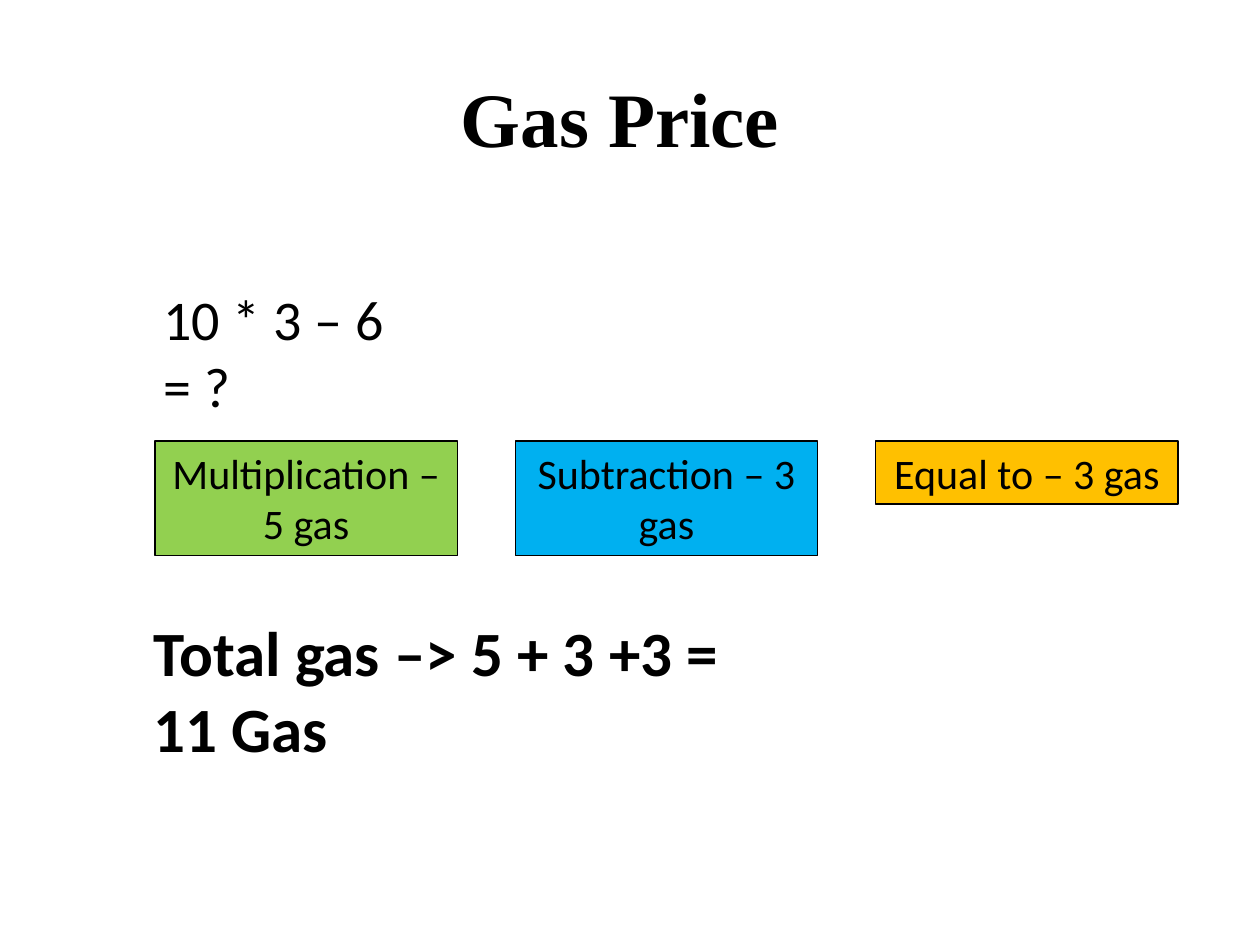
from dataclasses import dataclass

from pptx import Presentation
from pptx.dml.color import RGBColor
from pptx.enum.shapes import MSO_SHAPE
from pptx.enum.text import MSO_ANCHOR, PP_ALIGN
from pptx.shapes.autoshape import Shape
from pptx.slide import Slide
from pptx.util import Inches, Pt

BLACK = RGBColor(0x00, 0x00, 0x00)
GREEN = RGBColor(0x92, 0xD0, 0x50)
BLUE = RGBColor(0x00, 0xB0, 0xF0)
AMBER = RGBColor(0xFF, 0xC0, 0x00)

COST_LEFT, COST_TOP, COST_WIDTH, COST_STEP = 1.23, 3.5, 2.4, 2.86


@dataclass(frozen=True)
class TextBlock:
    text: str
    left: float
    top: float
    width: float
    height: float
    size: int
    font: str = "Calibri"
    bold: bool = False
    align: PP_ALIGN = PP_ALIGN.LEFT
    anchor: MSO_ANCHOR = MSO_ANCHOR.TOP


@dataclass(frozen=True)
class OperationCost:
    label: str
    fill: RGBColor
    height: float


TEXT_BLOCKS = [
    TextBlock("Gas Price ", 0.5, 0.3, 9, 1.25, 44, "Times New Roman", True,
              PP_ALIGN.CENTER, MSO_ANCHOR.MIDDLE),
    TextBlock("10 * 3 – 6 = ?", 1.2, 2.21, 2.46, 1.18, 32),
    TextBlock("Total gas –> 5 + 3 +3 = 11 Gas", 1.12, 4.82, 4.71, 1.31, 36, bold=True),
]

OPERATION_COSTS = [
    OperationCost("Multiplication – 5 gas", GREEN, 0.91),
    OperationCost("Subtraction – 3 gas", BLUE, 0.91),
    OperationCost("Equal to – 3 gas", AMBER, 0.5),
]


def write_text(shape: Shape, block: TextBlock) -> None:
    frame = shape.text_frame
    frame.word_wrap = True
    frame.vertical_anchor = block.anchor
    paragraph = frame.paragraphs[0]
    paragraph.alignment = block.align
    run = paragraph.add_run()
    run.text = block.text
    run.font.name = block.font
    run.font.size = Pt(block.size)
    run.font.bold = block.bold
    run.font.color.rgb = BLACK


def add_text_block(slide: Slide, block: TextBlock) -> None:
    shape = slide.shapes.add_textbox(
        Inches(block.left), Inches(block.top), Inches(block.width), Inches(block.height))
    write_text(shape, block)


def add_operation_cost(slide: Slide, index: int, cost: OperationCost) -> None:
    left = COST_LEFT + index * COST_STEP
    shape = slide.shapes.add_shape(
        MSO_SHAPE.RECTANGLE, Inches(left), Inches(COST_TOP),
        Inches(COST_WIDTH), Inches(cost.height))
    shape.shadow.inherit = False
    shape.fill.solid()
    shape.fill.fore_color.rgb = cost.fill
    shape.line.color.rgb = BLACK
    shape.line.width = Pt(0.75)
    write_text(shape, TextBlock(cost.label, left, COST_TOP, COST_WIDTH, cost.height, 24,
                                align=PP_ALIGN.CENTER))


def main() -> None:
    presentation = Presentation()
    presentation.slide_width = Inches(10)
    presentation.slide_height = Inches(7.5)
    slide = presentation.slides.add_slide(presentation.slide_layouts[6])
    title, question, total = TEXT_BLOCKS
    add_text_block(slide, title)
    add_text_block(slide, question)
    for index, cost in enumerate(OPERATION_COSTS):
        add_operation_cost(slide, index, cost)
    add_text_block(slide, total)
    presentation.save("out.pptx")


if __name__ == "__main__":
    main()
